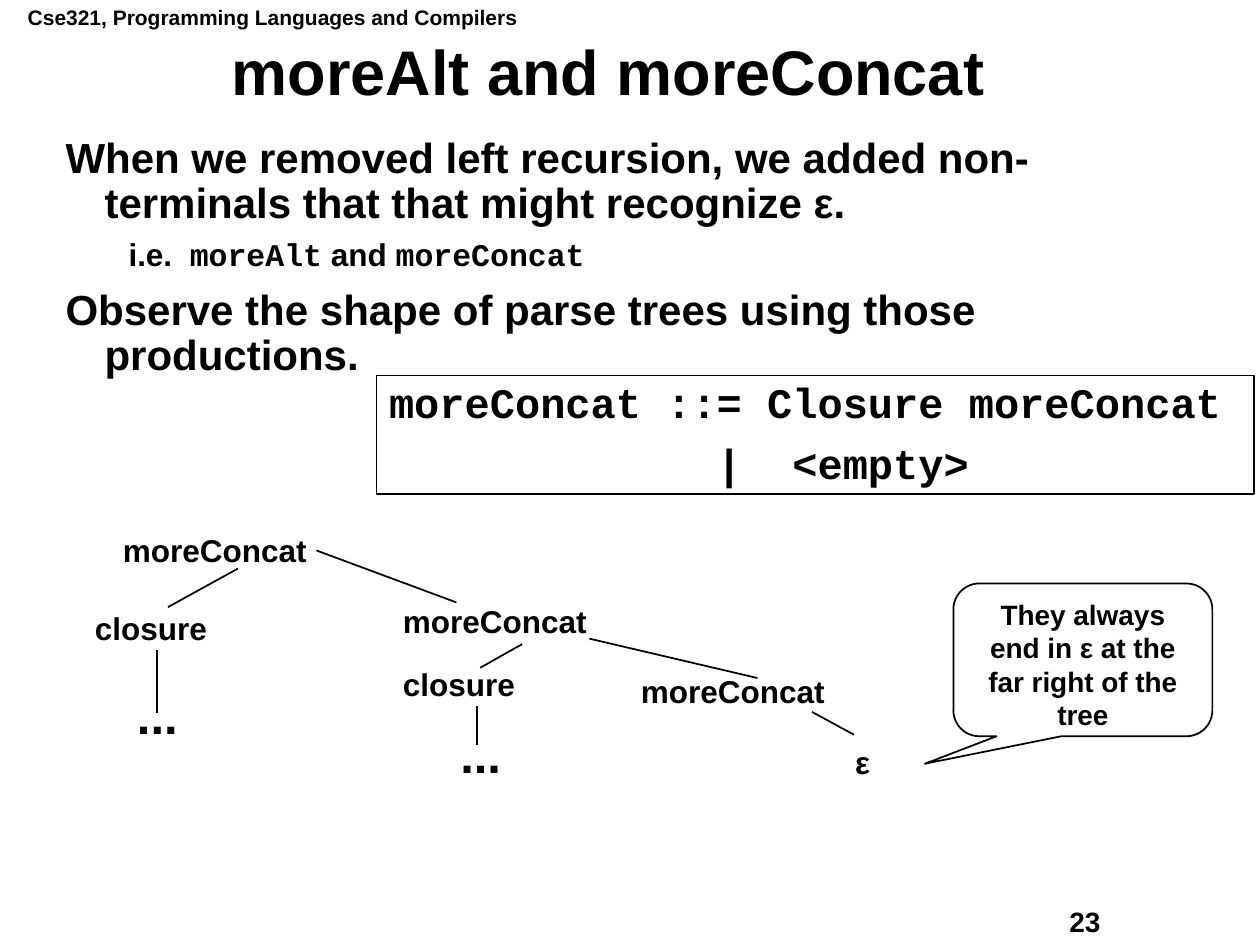
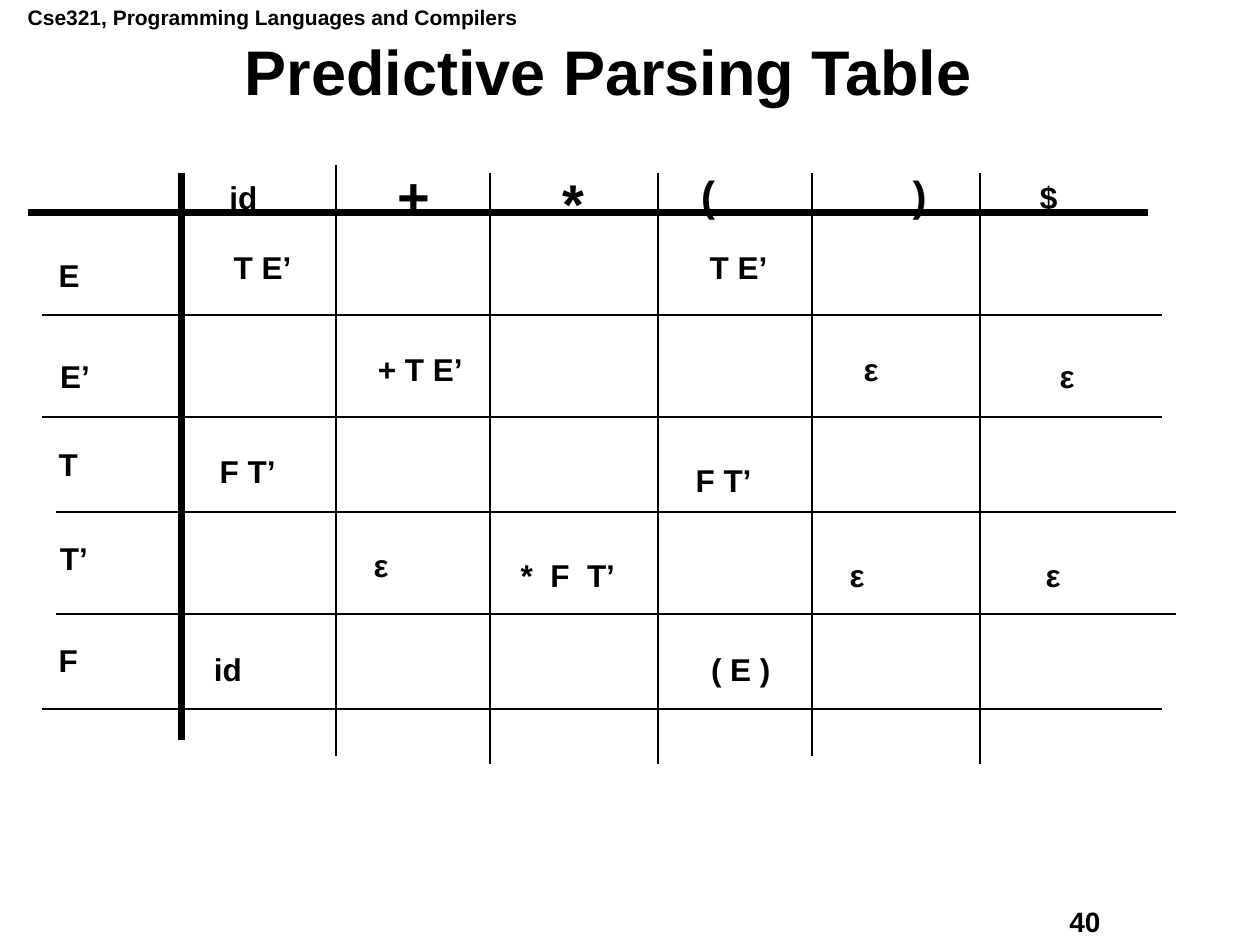
from typing import NamedTuple

from lxml.etree import SubElement
from pptx import Presentation
from pptx.dml.color import RGBColor
from pptx.enum.shapes import MSO_CONNECTOR, MSO_SHAPE
from pptx.enum.text import MSO_ANCHOR, MSO_AUTO_SIZE, PP_ALIGN
from pptx.oxml.ns import qn
from pptx.util import Emu, Inches, Pt

SLIDE_W, SLIDE_H = Inches(10), Inches(7.5)
COLS, ROWS = 90, 120
COLORS = {"ink": "000000", "paper": "FFFFFF"}
SANS, MONO = "Arial", "Courier New"
COURSE = "Cse321, Programming Languages and Compilers"

LABEL_COLS = {
    COURSE: 36.8, "moreConcat": 14.94, "closure": 9.8, "...": 4.7, "ε": 2.9,
    "E": 3.3, "E’": 3.9, "T": 3.15, "T’": 3.8, "F": 3.15, "id": 3.8,
    "+": 4.1, "*": 3.3, "(": 2.8, ")": 2.8, "$": 3.1, "T E’": 5.95,
    "+ T E’": 7.85, "F T’": 5.8, "*  F  T’": 8.6, "( E )": 6.05,
}


class Box(NamedTuple):
    col: float
    row: float
    cols: float
    rows: float


class Label(NamedTuple):
    text: str
    col: float
    row: float
    size: float = 18


class Line(NamedTuple):
    col1: float
    row1: float
    col2: float
    row2: float
    weight: float = 1


class Run(NamedTuple):
    text: str
    font: str = SANS


class Para(NamedTuple):
    runs: list[Run]
    size: float
    before: float = 0
    spacing: float = 1
    align: PP_ALIGN = PP_ALIGN.LEFT
    level: int = 0
    margin: float = 0
    indent: float = 0


TITLE = Box(2.8, 5, 81.3, 9)
PAGE = Box(75.5, 114.1, 11.4, 5.8)
BODY = Box(3.8, 16.6, 77.2, 51.4)
GRAMMAR = Box(26.9, 47.7, 62.7, 15)
CALLOUT = Box(68.1, 74.1, 18.5, 19.4)

BODY_PARAS = [
    Para([Run("When we removed left recursion, we added non-terminals that that might recognize ε.")],
         24, spacing=0.9, margin=0.31, indent=-0.31),
    Para([Run("i.e.  "), Run("moreAlt", MONO), Run(" and "), Run("moreConcat", MONO)],
         18, 6.8, 0.9, level=1, margin=0.75, indent=-0.25),
    Para([Run("Observe the shape of parse trees using those productions.")],
         24, 9, 0.9, margin=0.31, indent=-0.31),
]
GRAMMAR_PARAS = [
    Para([Run("moreConcat ::= Closure moreConcat", MONO)], 24, spacing=0.9),
    Para([Run("             |  <empty>", MONO)], 24, 9, 0.9),
]
CALLOUT_PARAS = [
    Para([Run("They always end in ε at the far right of the tree")], 16, align=PP_ALIGN.CENTER),
]

TREE_LABELS = [
    Label("moreConcat", 7.9, 66.7), Label("closure", 5.9, 76.6), Label("...", 8.9, 86.2, 28),
    Label("moreConcat", 27.9, 75.7), Label("closure", 27.9, 83.7), Label("...", 32, 91.2, 28),
    Label("moreConcat", 44.9, 84.6), Label("ε", 60.2, 93.6),
]
TREE_LINES = [
    Line(17, 72.2, 12, 77.1), Line(22.6, 69.9, 32.6, 76.5), Line(11.2, 82.6, 11.2, 90.6),
    Line(37.3, 81.8, 34.3, 84.8), Line(42.1, 81.1, 54.1, 86.1), Line(34.1, 89.6, 34.1, 94.6),
    Line(58, 90.4, 61, 93.3),
]

AXES = [Line(13, 22, 13, 94, 4), Line(2, 27, 82, 27, 4)]
ROW_RULES = [Line(col, row, col + 80, row)
             for col, row in [(3, 40), (3, 53), (4, 65), (4, 78), (3, 90)]]
COLUMN_RULES = [Line(col, top, col, bottom)
                for col, top, bottom in [(24, 21, 96), (35, 22, 97), (47, 22, 97),
                                         (58, 22, 96), (70, 22, 97)]]
TERMINALS = [
    Label("id", 15.5, 21.8), Label("+", 27.5, 19.7, 32), Label("*", 39.3, 20.6, 32),
    Label("(", 49.2, 20.8, 24), Label(")", 64.3, 20.8, 24), Label("$", 73.4, 21.8),
]
NONTERMINALS = [
    Label("E", 3.3, 31.7), Label("E’", 3.4, 44.6), Label("T", 3.3, 55.7),
    Label("T’", 3.4, 67.7), Label("F", 3.3, 80.6),
]
PRODUCTIONS = [
    Label("T E’", 15.8, 30.7), Label("T E’", 49.8, 30.7),
    Label("+ T E’", 26.1, 43.7), Label("ε", 60.8, 43.7), Label("ε", 74.8, 44.6),
    Label("F T’", 14.8, 56.6), Label("F T’", 48.8, 57.8),
    Label("ε", 25.8, 68.6), Label("*  F  T’", 36.3, 69.8),
    Label("ε", 59.8, 69.8), Label("ε", 73.8, 69.8),
    Label("id", 14.4, 81.8), Label("( E )", 49.9, 81.8),
]


def x(cols: float) -> Emu:
    return Emu(round(SLIDE_W * cols / COLS))


def y(rows: float) -> Emu:
    return Emu(round(SLIDE_H * rows / ROWS))


def place(box: Box) -> tuple[Emu, Emu, Emu, Emu]:
    return x(box.col), y(box.row), x(box.cols), y(box.rows)


def color(name: str) -> RGBColor:
    return RGBColor.from_string(COLORS[name])


def write(sp, paras: list[Para], wrap: bool = True, anchor=MSO_ANCHOR.TOP) -> None:
    tf = sp.text_frame
    tf.word_wrap, tf.auto_size, tf.vertical_anchor = wrap, MSO_AUTO_SIZE.NONE, anchor
    tf.margin_left = tf.margin_right = Inches(0.1)
    tf.margin_top = tf.margin_bottom = Inches(0.05)
    for i, para in enumerate(paras):
        p = tf.add_paragraph() if i else tf.paragraphs[0]
        p.alignment, p.level = para.align, para.level
        p.line_spacing, p.space_before = para.spacing, Pt(para.before)
        pPr = p._p.get_or_add_pPr()
        pPr.set("marL", str(Inches(para.margin)))
        pPr.set("indent", str(Inches(para.indent)))
        for run in para.runs:
            r = p.add_run()
            r.text = run.text
            r.font.name, r.font.size, r.font.bold = run.font, Pt(para.size), True
            r.font.color.rgb = color("ink")


def add_text(s, box: Box, paras: list[Para], wrap: bool = True) -> None:
    write(s.shapes.add_textbox(*place(box)), paras, wrap)


def add_label(s, label: Label) -> None:
    height = (label.size * 1.2 / 72 + 0.1) * 16
    box = Box(label.col, label.row, LABEL_COLS[label.text], height)
    add_text(s, box, [Para([Run(label.text)], label.size)], wrap=False)


def add_line(s, line: Line) -> None:
    cx = s.shapes.add_connector(MSO_CONNECTOR.STRAIGHT, x(line.col1), y(line.row1),
                                x(line.col2), y(line.row2))
    cx.line.color.rgb, cx.line.width = color("ink"), Pt(line.weight)
    SubElement(cx._element.spPr, qn("a:effectLst"))


def add_outlined(s, kind: MSO_SHAPE, box: Box, paras: list[Para]):
    sp = s.shapes.add_shape(kind, *place(box))
    sp.shadow.inherit = False
    sp.fill.background()
    sp.line.color.rgb, sp.line.width = color("ink"), Pt(1)
    write(sp, paras)
    return sp


def add_slide(prs, title: str, number: str):
    s = prs.slides.add_slide(prs.slide_layouts[5])
    s.background.fill.solid()
    s.background.fill.fore_color.rgb = color("paper")
    add_label(s, Label(COURSE, 1.1, -0.16, 12))
    add_text(s, PAGE, [Para([Run(number)], 16)])
    sp = s.shapes.title
    sp.left, sp.top, sp.width, sp.height = place(TITLE)
    write(sp, [Para([Run(title)], 36, spacing=0.9, align=PP_ALIGN.CENTER)],
          anchor=MSO_ANCHOR.MIDDLE)
    return s


def draw(s, lines: list[Line], labels: list[Label]) -> None:
    for line in lines:
        add_line(s, line)
    for label in labels:
        add_label(s, label)


def build_tree_slide(prs) -> None:
    s = add_slide(prs, "moreAlt and moreConcat", "23")
    add_text(s, BODY, BODY_PARAS)
    add_outlined(s, MSO_SHAPE.RECTANGLE, GRAMMAR, GRAMMAR_PARAS)
    draw(s, TREE_LINES, TREE_LABELS)
    sp = add_outlined(s, MSO_SHAPE.ROUNDED_RECTANGULAR_CALLOUT, CALLOUT, CALLOUT_PARAS)
    sp.fill.solid()
    sp.fill.fore_color.rgb = color("paper")
    for i, value in enumerate((-0.61, 0.68, 0.17)):
        sp.adjustments[i] = value


def build_parsing_slide(prs) -> None:
    s = add_slide(prs, "Predictive Parsing Table", "40")
    draw(s, AXES + ROW_RULES + COLUMN_RULES, TERMINALS + NONTERMINALS + PRODUCTIONS)


def main() -> None:
    prs = Presentation()
    prs.slide_width, prs.slide_height = SLIDE_W, SLIDE_H
    build_tree_slide(prs)
    build_parsing_slide(prs)
    prs.save("out.pptx")


if __name__ == "__main__":
    main()
